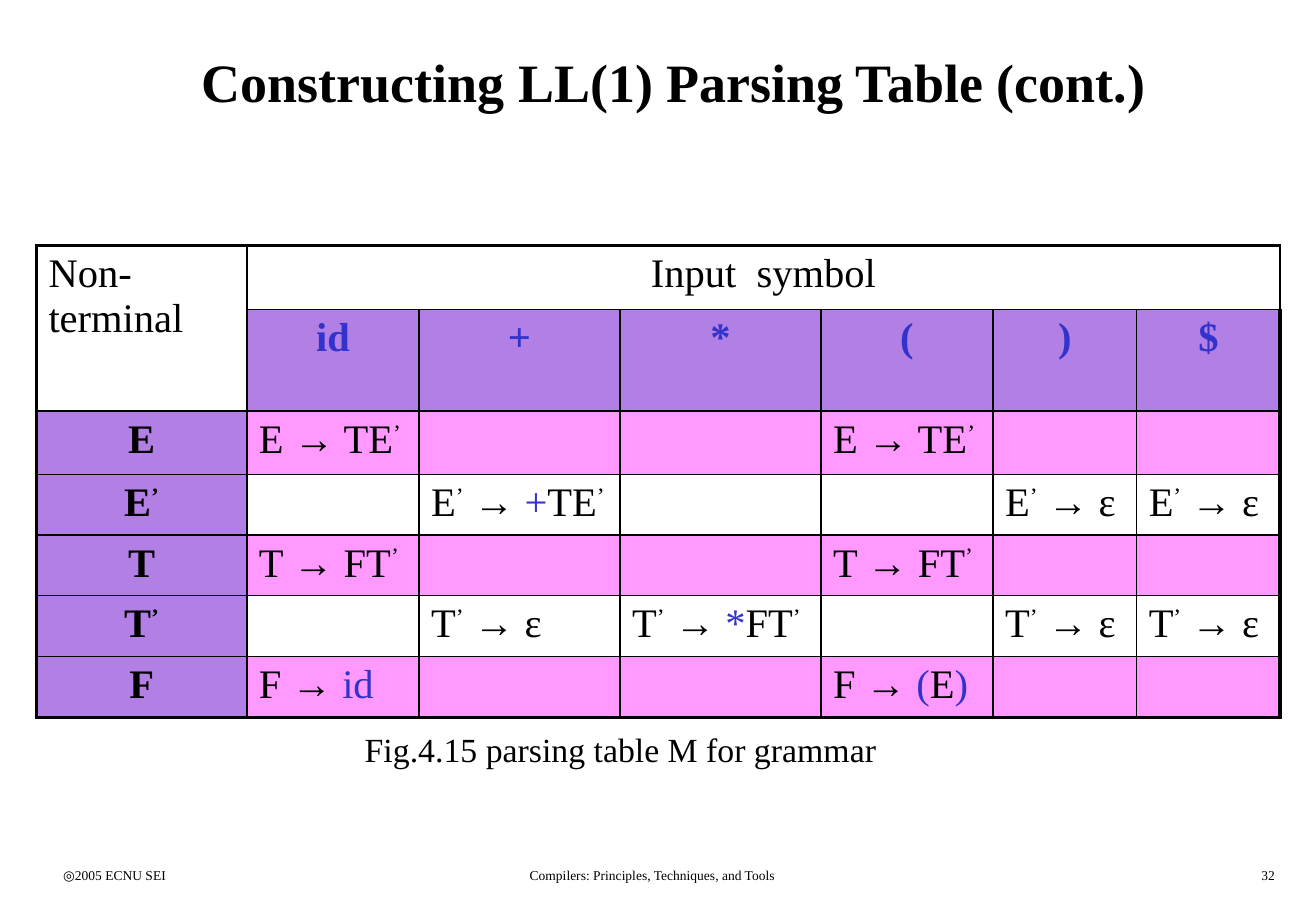
import itertools

import pptx
import pptx.dml.color
import pptx.enum.text
import pptx.oxml
import pptx.oxml.ns
import pptx.util

Cm = pptx.util.Cm
Pt = pptx.util.Pt
RGBColor = pptx.dml.color.RGBColor
ALIGN = pptx.enum.text.PP_ALIGN
ANCHOR = pptx.enum.text.MSO_ANCHOR

BLACK = RGBColor(0x00, 0x00, 0x00)
BLUE = RGBColor(0x33, 0x33, 0xCC)
PURPLE = RGBColor(0x66, 0x00, 0xCC)
PINK = RGBColor(0xFF, 0x99, 0xFF)
FONT = "Times New Roman"
NAMESPACE = pptx.oxml.ns.nsdecls("a")

TERMINALS = ["id", "+", "*", "(", ")", "$"]
TERMINAL_LETTERS = set("".join(TERMINALS))
PRODUCTIONS = {
    "E": ["E → TE’", "", "", "E → TE’", "", ""],
    "E’": ["", "E’ → +TE’", "", "", "E’ → ε", "E’ → ε"],
    "T": ["T → FT’", "", "", "T → FT’", "", ""],
    "T’": ["", "T’ → ε", "T’ → *FT’", "", "T’ → ε", "T’ → ε"],
    "F": ["F → id", "", "", "F → (E)", "", ""],
}
COLUMN_WIDTHS = [4.4, 3.6, 4.2, 4.2, 3.6, 3.0, 3.0]
ROW_HEIGHTS = [1.34, 2.12, 1.32, 1.27, 1.27, 1.27, 1.27]


def place(shape, left, top, width, height):
    shape.left, shape.top = Cm(left), Cm(top)
    shape.width, shape.height = Cm(width), Cm(height)


def style_paragraph(paragraph, size, alignment=ALIGN.LEFT, bold=False):
    paragraph.alignment = alignment
    paragraph.font.name = FONT
    paragraph.font.size = Pt(size)
    paragraph.font.bold = bold
    paragraph.font.color.rgb = BLACK


def add_title(slide, left, top, width, height):
    title = slide.shapes.title
    place(title, left, top, width, height)
    title.text_frame.text = "Constructing LL(1) Parsing Table (cont.)"
    title.text_frame.vertical_anchor = ANCHOR.MIDDLE
    style_paragraph(title.text_frame.paragraphs[0], 32, ALIGN.CENTER, True)


def add_caption(slide, left, top, width, height):
    caption = slide.placeholders[1]
    place(caption, left, top, width, height)
    caption.text_frame.text = "Fig.4.15 parsing table M for grammar"
    paragraph = caption.text_frame.paragraphs[0]
    properties = paragraph._p.get_or_add_pPr()
    properties.set("marL", str(Cm(0.95)))
    properties.set("indent", str(Cm(-0.95)))
    properties.append(pptx.oxml.parse_xml(f"<a:buNone {NAMESPACE}/>"))
    paragraph.space_before = Pt(0)
    style_paragraph(paragraph, 20)


def add_footer(slide, left, top, width, height):
    side_width, centre_width = 5.74, 10.3
    parts = [
        ("◎2005 ECNU SEI", left, side_width, ALIGN.LEFT),
        ("Compilers: Principles, Techniques, and Tools", left + 7.42, centre_width, ALIGN.CENTER),
        ("32", left + width - side_width, side_width, ALIGN.RIGHT),
    ]
    for text, part_left, part_width, alignment in parts:
        box = slide.shapes.add_textbox(Cm(part_left), Cm(top), Cm(part_width), Cm(height))
        frame = box.text_frame
        frame.word_wrap = True
        frame.vertical_anchor = ANCHOR.MIDDLE
        frame.text = text
        style_paragraph(frame.paragraphs[0], 8, alignment)


def set_borders(cell, row, column):
    outer_edges = {
        "lnL": column == 0,
        "lnR": column == len(COLUMN_WIDTHS) - 1,
        "lnT": row == 0,
        "lnB": row == len(ROW_HEIGHTS) - 1,
    }
    properties = cell._tc.get_or_add_tcPr()
    for edge, is_outer in outer_edges.items():
        width = Pt(2.25 if is_outer else 1)
        properties.append(pptx.oxml.parse_xml(
            f'<a:{edge} {NAMESPACE} w="{width}"><a:solidFill>'
            f'<a:srgbClr val="{BLACK}"/></a:solidFill></a:{edge}>'))


def set_fill(cell, row, column):
    is_heading = row == 1 or column == 0
    if row == 0 or (row == 1 and column == 0):
        cell.fill.background()
    elif is_heading:
        cell.fill.solid()
        cell.fill.fore_color.rgb = PURPLE
        colour = cell._tc.tcPr.find(".//" + pptx.oxml.ns.qn("a:solidFill") + "[last()]")
        colour = cell._tc.tcPr.findall(pptx.oxml.ns.qn("a:solidFill"))[0][0]
        colour.append(pptx.oxml.parse_xml(f'<a:alpha {NAMESPACE} val="50000"/>'))
    elif row % 2 == 0:
        cell.fill.solid()
        cell.fill.fore_color.rgb = PINK
    else:
        cell.fill.background()


def letter_style(letter):
    return letter == "’", letter in TERMINAL_LETTERS


def write_symbols(paragraph, text):
    for (is_prime, is_terminal), letters in itertools.groupby(text, letter_style):
        run = paragraph.add_run()
        run.text = "".join(letters)
        run.font.color.rgb = BLUE if is_terminal else BLACK
        if is_prime:
            run._r.get_or_add_rPr().set("baseline", "30000")


def add_parsing_table(slide, left, top):
    rows = [["Non-terminal", "Input  symbol"] + [""] * 5, [""] + TERMINALS]
    rows += [[head] + cells for head, cells in PRODUCTIONS.items()]
    table = slide.shapes.add_table(
        len(rows), len(COLUMN_WIDTHS), Cm(left), Cm(top),
        Cm(sum(COLUMN_WIDTHS)), Cm(sum(ROW_HEIGHTS))).table
    table.first_row = False
    table.horz_banding = False
    for column, width in zip(table.columns, COLUMN_WIDTHS):
        column.width = Cm(width)
    for row, height in zip(table.rows, ROW_HEIGHTS):
        row.height = Cm(height)
    table.cell(0, 0).merge(table.cell(1, 0))
    table.cell(0, 1).merge(table.cell(0, len(COLUMN_WIDTHS) - 1))
    for row, texts in enumerate(rows):
        for column, text in enumerate(texts):
            cell = table.cell(row, column)
            set_borders(cell, row, column)
            set_fill(cell, row, column)
            paragraph = cell.text_frame.paragraphs[0]
            is_heading = row > 0 and (row == 1 or column == 0)
            is_centred = is_heading or (row == 0 and column > 0)
            style_paragraph(paragraph, 24, ALIGN.CENTER if is_centred else ALIGN.LEFT, is_heading)
            if row == 0:
                paragraph.text = text
            else:
                write_symbols(paragraph, text)


def main():
    presentation = pptx.Presentation()
    presentation.slide_width = Cm(27.51)
    presentation.slide_height = Cm(19.05)
    slide = presentation.slides.add_slide(presentation.slide_layouts[1])
    add_title(slide, 1.07, 0.43, 26.04, 2.54)
    add_caption(slide, 7.37, 15.11, 14, 1.4)
    add_parsing_table(slide, 0.76, 5.13)
    add_footer(slide, 1.07, 17.98, 25.83, 0.64)
    presentation.save("out.pptx")


if __name__ == "__main__":
    main()
